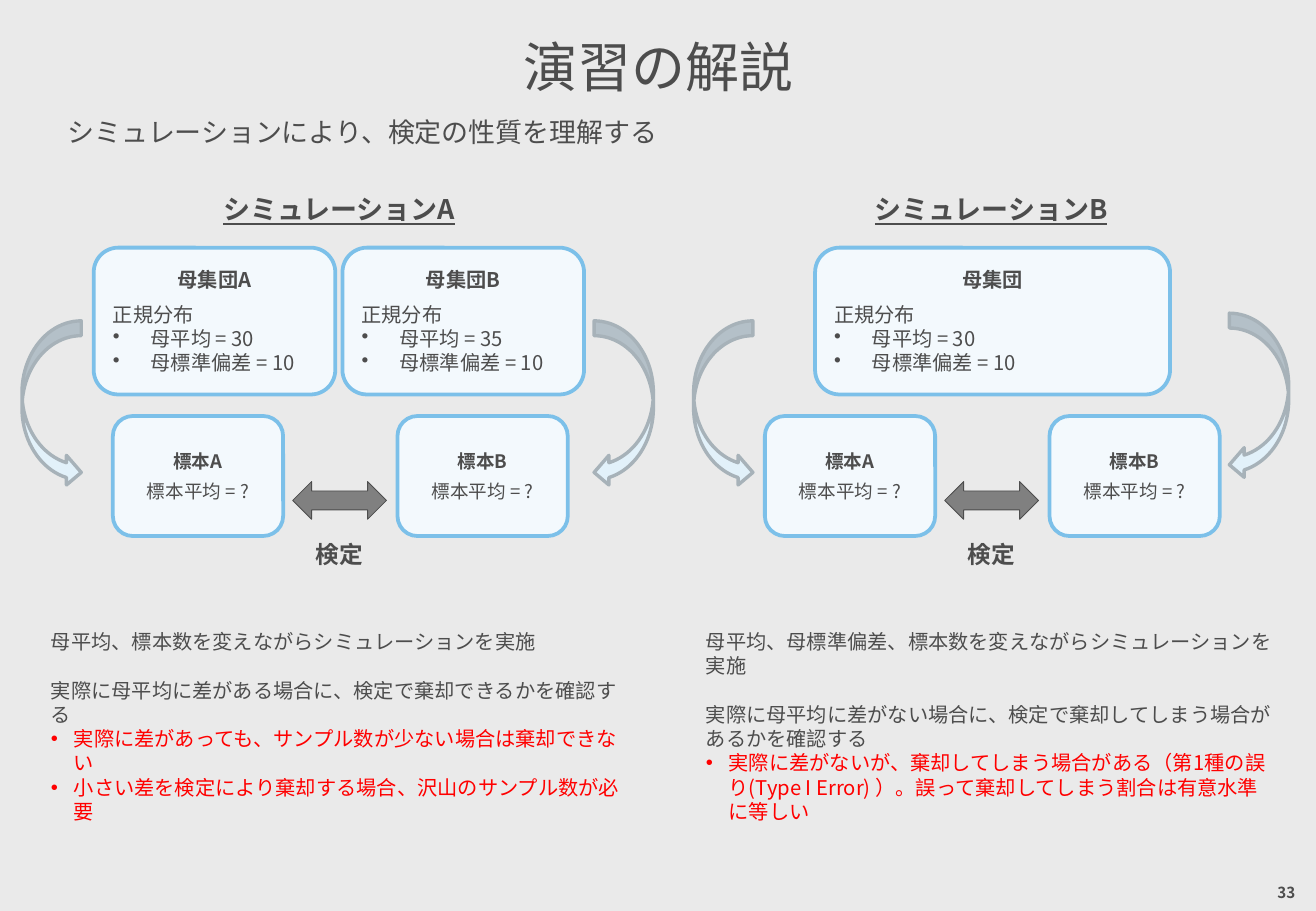
from lxml import etree
from pptx import Presentation
from pptx import util as u
from pptx.dml.color import RGBColor
from pptx.enum import shapes, text
from pptx.oxml.ns import qn

FONT = "Noto Sans CJK JP"
INK = RGBColor(0x4D, 0x4D, 0x4D)
RED = RGBColor(0xFF, 0x00, 0x00)
BACKGROUND = RGBColor(0xEA, 0xEA, 0xEA)
CARD_FILL = RGBColor(0xF3, 0xF9, 0xFD)
CARD_LINE = RGBColor(0x7C, 0xC0, 0xE9)
CURVE_FILL = RGBColor(0xE2, 0xF1, 0xFA)
CURVE_LINE = RGBColor(0xA7, 0xB2, 0xB9)
GREY = RGBColor(0x80, 0x80, 0x80)

CENTER, LEFT, RIGHT = text.PP_ALIGN.CENTER, text.PP_ALIGN.LEFT, text.PP_ALIGN.RIGHT
SHAPE = shapes.MSO_SHAPE

# Content (lengths in cm)
TITLE = "演習の解説"
LEAD = "シミュレーションにより、検定の性質を理解する"
PAGE_NUMBER = "33"
SAMPLES = [("標本A", 2.36), ("標本B", 8.31)]  # name, left within the simulation
SIMULATIONS = [
    {
        "heading": "シミュレーションA",
        "left": 0,
        "populations": [("母集団A", 30, 1.96, 5.05), ("母集団B", 35, 7.16, 5.05)],
        "curves": [(SHAPE.CURVED_RIGHT_ARROW, 0.46, 6.71),
                   (SHAPE.CURVED_LEFT_ARROW, 12.42, 6.71)],
        "notes_left": 0.81,
        "steps": ["母平均、標本数を変えながらシミュレーションを実施",
                  "実際に母平均に差がある場合に、検定で棄却できるかを確認する"],
        "findings": ["実際に差があっても、サンプル数が少ない場合は棄却できない",
                     "小さい差を検定により棄却する場合、沢山のサンプル数が必要"],
    },
    {
        "heading": "シミュレーションB",
        "left": 13.63,
        "populations": [("母集団", 30, 17.04, 7.42)],
        "curves": [(SHAPE.CURVED_RIGHT_ARROW, 14.5, 6.71),
                   (SHAPE.CURVED_LEFT_ARROW, 25.7, 6.55)],
        "notes_left": 14.5,
        "steps": ["母平均、母標準偏差、標本数を変えながらシミュレーションを実施",
                  "実際に母平均に差がない場合に、検定で棄却してしまう場合があるかを確認する"],
        "findings": ["実際に差がないが、棄却してしまう場合がある（第1種の誤り(Type I Error) ）。"
                     "誤って棄却してしまう割合は有意水準に等しい"],
    },
]


def line(words, size, align=LEFT, bold=False, color=INK, after=0, indent=0, underline=False):
    return dict(words=words, size=size, align=align, bold=bold, color=color,
                after=after, indent=indent, underline=underline)


def write(box, lines, anchor=text.MSO_ANCHOR.TOP, margin=None):
    frame = box.text_frame
    frame.word_wrap = True
    frame.auto_size = text.MSO_AUTO_SIZE.NONE
    frame.vertical_anchor = anchor
    if margin is not None:
        frame.margin_left = frame.margin_right = u.Cm(margin)
        frame.margin_top = frame.margin_bottom = u.Cm(margin)
    for index, item in enumerate(lines):
        para = frame.add_paragraph() if index else frame.paragraphs[0]
        para.text = item["words"]
        para.alignment = item["align"]
        para.line_spacing = u.Pt(item["size"] * 1.2)
        para.space_before = u.Pt(0)
        para.space_after = u.Pt(item["after"])
        font = para.font
        font.name, font.size = FONT, u.Pt(item["size"])
        font.bold, font.underline = item["bold"], item["underline"]
        font.color.rgb = item["color"]
        # East Asian font, indent and bullet
        props = para._p.pPr
        defaults = props.find(qn("a:defRPr"))
        etree.SubElement(defaults, qn("a:ea")).set("typeface", FONT)
        indent = u.Cm(item["indent"])
        props.set("marL", str(indent))
        props.set("indent", str(-indent))
        bullet = etree.Element(qn("a:buChar" if indent else "a:buNone"))
        if indent:
            bullet.set("char", "•")
        defaults.addprevious(bullet)


def place(box, left, top, width, height):
    box.left, box.top, box.width, box.height = map(u.Cm, (left, top, width, height))


def add_text(page, area, item, **options):
    write(page.shapes.add_textbox(*map(u.Cm, area)), [item], **options)


def add_figure(page, kind, area, fill, outline, weight):
    figure = page.shapes.add_shape(kind, *map(u.Cm, area))
    figure.shadow.inherit = False
    figure.fill.solid()
    figure.fill.fore_color.rgb = fill
    figure.line.color.rgb = outline
    figure.line.width = u.Pt(weight)
    return figure


def add_card(page, area, lines):
    card = add_figure(page, SHAPE.ROUNDED_RECTANGLE, area, CARD_FILL, CARD_LINE, 2.25)
    write(card, lines, anchor=text.MSO_ANCHOR.MIDDLE)


def add_simulation(page, simulation, notes):
    left = simulation["left"]
    add_text(page, (left + 3.56, 3.91, 7.06, 0.94),
             line(simulation["heading"], 16, CENTER, bold=True, underline=True))

    # Populations and the samples drawn from them
    for name, mean, card_left, width in simulation["populations"]:
        add_card(page, (card_left, 5.18, width, 3.07), [
            line(name, 12, CENTER, bold=True, after=6),
            line("正規分布", 12),
            line(f"母平均 = {mean}", 12, indent=0.79),
            line("母標準偏差 = 10", 12, indent=0.79),
        ])
    for name, sample_left in SAMPLES:
        add_card(page, (left + sample_left, 8.7, 3.56, 2.51), [
            line(name, 11, CENTER, bold=True, after=4.8),
            line("標本平均 = ?", 11, CENTER),
        ])

    # Arrows and test label
    for kind, curve_left, top in simulation["curves"]:
        add_figure(page, kind, (curve_left, top, 1.24, 3.48), CURVE_FILL, CURVE_LINE, 2)
    add_figure(page, SHAPE.LEFT_RIGHT_ARROW, (left + 6.12, 10.07, 1.96, 0.79), GREY, INK, 0.5)
    add_text(page, (left + 6.05, 11.17, 2.08, 0.86), line("検定", 14, CENTER, bold=True))

    # Steps and findings
    place(notes, simulation["notes_left"], 13.03, 12.47, 4.37)
    first, second = simulation["steps"]
    write(notes, [line(first, 12, after=14.4), line(second, 12)]
          + [line(words, 12, color=RED, indent=0.48) for words in simulation["findings"]])


def main():
    deck = Presentation()
    deck.slide_width, deck.slide_height = u.Cm(27.51), u.Cm(19.05)
    page = deck.slides.add_slide(deck.slide_layouts.get_by_name("Two Content"))
    page.background.fill.solid()
    page.background.fill.fore_color.rgb = BACKGROUND

    # Title, lead and page number
    title, *bodies = page.placeholders
    place(title, 0.76, 0.53, 26.01, 1.7)
    write(title, [line(TITLE, 32, CENTER)], anchor=text.MSO_ANCHOR.MIDDLE, margin=0)
    add_text(page, (1.17, 2.29, 25.3, 0.94), line(LEAD, 16))
    add_text(page, (20.65, 18.31, 6.43, 0.71), line(PAGE_NUMBER, 9, RIGHT, bold=True),
             anchor=text.MSO_ANCHOR.MIDDLE, margin=0)

    for simulation, notes in zip(SIMULATIONS, bodies):
        add_simulation(page, simulation, notes)
    deck.save("out.pptx")


if __name__ == "__main__":
    main()
